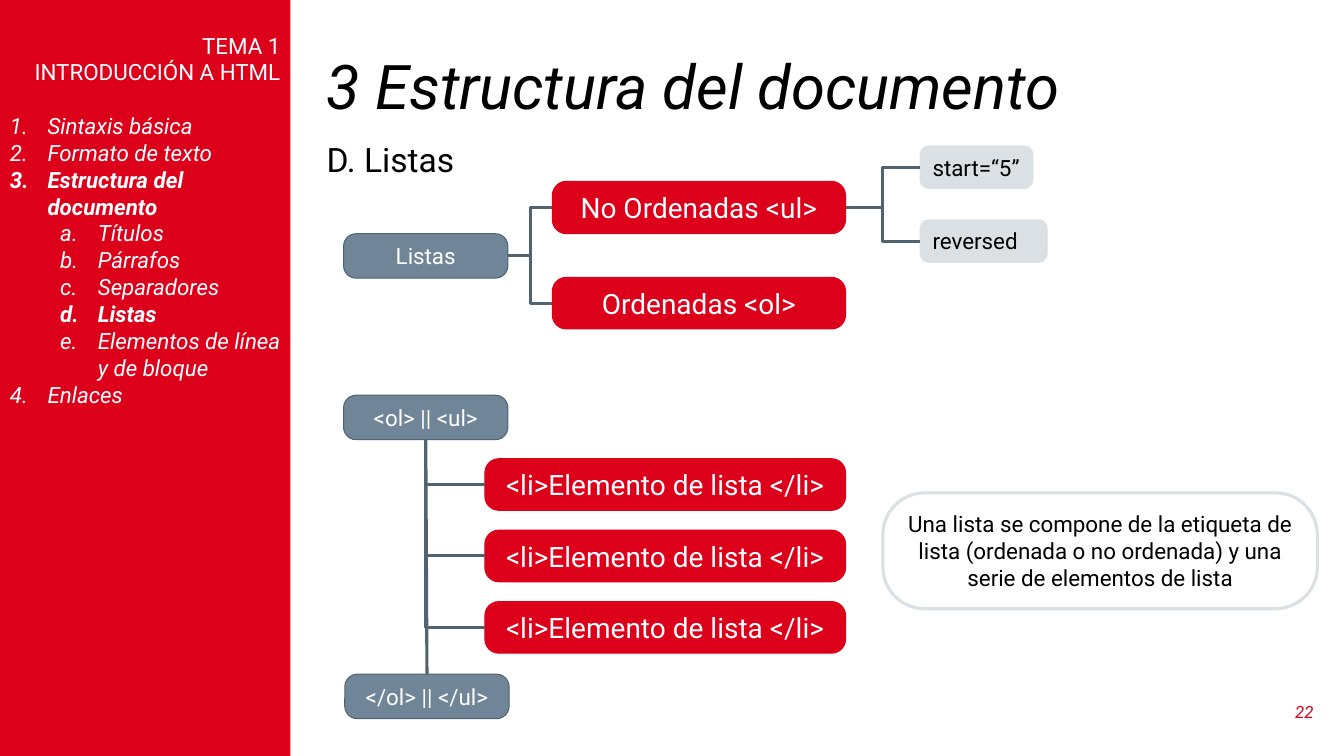
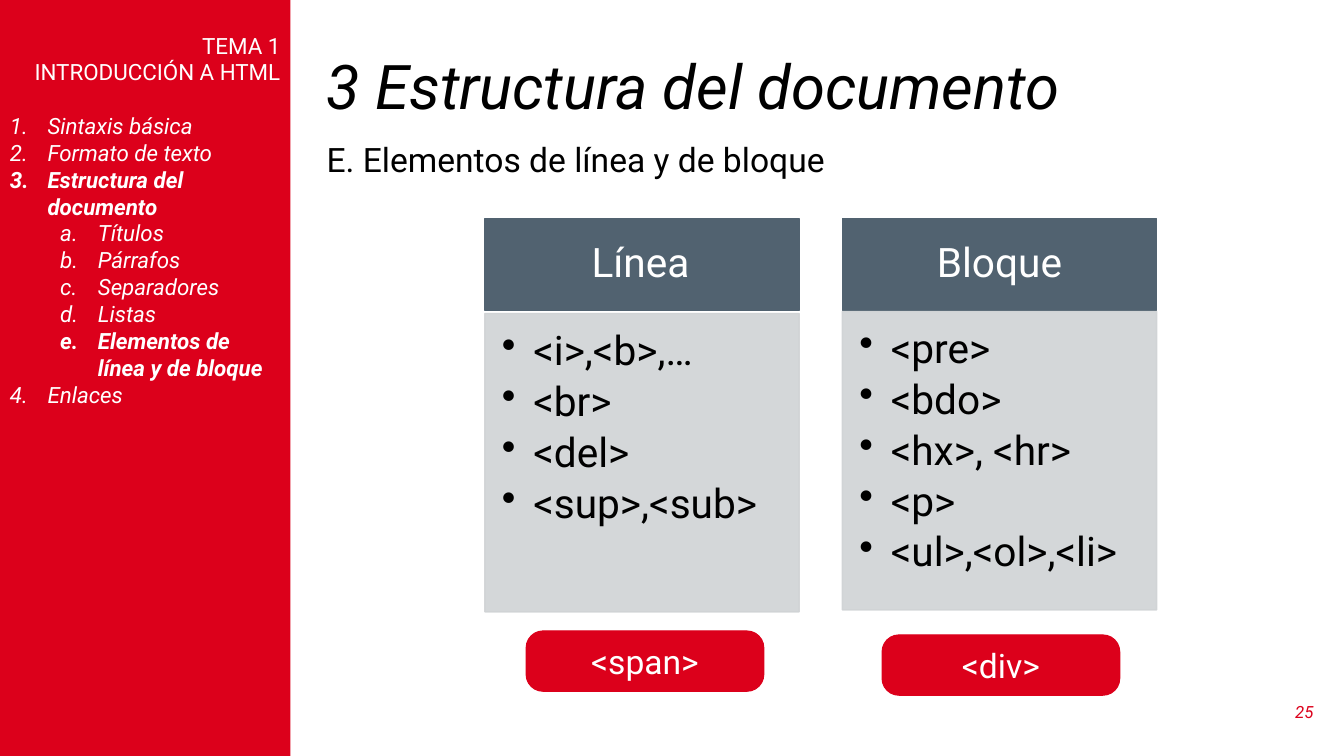
from dataclasses import dataclass

import lxml.etree
import pptx
import pptx.dml.color
import pptx.enum.shapes
import pptx.enum.text
import pptx.oxml.ns
import pptx.util

Cm = pptx.util.Cm
Pt = pptx.util.Pt
qn = pptx.oxml.ns.qn
Align = pptx.enum.text.PP_ALIGN
Anchor = pptx.enum.text.MSO_ANCHOR
Geometry = pptx.enum.shapes.MSO_SHAPE
Link = pptx.enum.shapes.MSO_CONNECTOR

FONT = "Roboto"
COLORS = {
    "red": "DC001B",
    "slate": "516270",
    "steel": "708698",
    "mist": "DAE0E4",
    "panel": "D0D3D5",
    "white": "FFFFFF",
    "black": "000000",
}
TOP, LEFT, BOTTOM, RIGHT = range(4)

HEADING = "3 Estructura del documento"
COURSE = ["TEMA 1", "INTRODUCCIÓN A HTML"]
# Outline level and wording of each section
SECTIONS = [
    (0, "Sintaxis básica"),
    (0, "Formato de texto"),
    (0, HEADING[2:]),
    (1, "Títulos"),
    (1, "Párrafos"),
    (1, "Separadores"),
    (1, "Listas"),
    (1, "Elementos de línea y de bloque"),
    (0, "Enlaces"),
]


@dataclass(frozen=True)
class Box:
    """Position and size in centimetres."""
    left: float
    top: float
    width: float
    height: float

    def lengths(self) -> tuple:
        return Cm(self.left), Cm(self.top), Cm(self.width), Cm(self.height)


@dataclass(frozen=True)
class PillStyle:
    fill: str | None
    line: str
    text: str
    size: float
    corner: float
    line_width: float = 0.75
    align: Align = Align.CENTER


@dataclass(frozen=True)
class Column:
    heading: str
    tags: list
    left: float
    body_top: float
    example: str
    example_box: Box


KEY = PillStyle("red", "red", "white", 20, 0.27)
EXAMPLE = PillStyle("red", "red", "white", 24, 0.28)
ROOT = PillStyle("steel", "slate", "white", 16, 0.28)
ATTRIBUTE = PillStyle("mist", "mist", "black", 16, 0.2, align=Align.LEFT)
NOTE = PillStyle(None, "mist", "black", 16, 0.36, line_width=2.25)


# Formatting helpers
def rgb(name: str) -> pptx.dml.color.RGBColor:
    return pptx.dml.color.RGBColor.from_string(COLORS[name])


def style_runs(paragraph, size: float, color: str, bold: bool = False,
               italic: bool = False) -> None:
    for run in paragraph.runs:
        run.font.name = FONT
        run.font.size = Pt(size)
        run.font.color.rgb = rgb(color)
        run.font.bold = bold
        run.font.italic = italic


def set_bullet(paragraph, tag: str, indent: float, hanging: float, **attributes) -> None:
    properties = paragraph._p.get_or_add_pPr()
    properties.set("marL", str(Cm(indent)))
    properties.set("indent", str(-Cm(hanging)))
    lxml.etree.SubElement(properties, qn(tag), **attributes)


def set_margins(frame, left: float, top: float, right: float, bottom: float) -> None:
    frame.margin_left, frame.margin_top = Cm(left), Cm(top)
    frame.margin_right, frame.margin_bottom = Cm(right), Cm(bottom)


def add_block(slide, geometry, box: Box, fill: str | None, line: str, line_width: float):
    block = slide.shapes.add_shape(geometry, *box.lengths())
    block.shadow.inherit = False
    if fill:
        block.fill.solid()
        block.fill.fore_color.rgb = rgb(fill)
    else:
        block.fill.background()
    block.line.color.rgb = rgb(line)
    block.line.width = Pt(line_width)
    return block


def add_label(slide, box: Box, text: str, size: float, color: str, align=Align.LEFT,
              anchor=Anchor.TOP, italic: bool = False) -> None:
    frame = slide.shapes.add_textbox(*box.lengths()).text_frame
    frame.word_wrap = True
    frame.vertical_anchor = anchor
    frame.text = text
    frame.paragraphs[0].alignment = align
    style_runs(frame.paragraphs[0], size, color, italic=italic)


def add_pill(slide, box: Box, text: str, style: PillStyle):
    pill = add_block(slide, Geometry.ROUNDED_RECTANGLE, box, style.fill, style.line,
                     style.line_width)
    pill.adjustments[0] = style.corner
    frame = pill.text_frame
    frame.text = text
    frame.vertical_anchor = Anchor.MIDDLE
    if style.align == Align.LEFT:
        frame.margin_right = 0
    frame.paragraphs[0].alignment = style.align
    style_runs(frame.paragraphs[0], style.size, style.text)
    return pill


def join(slide, start, start_side: int, end, end_side: int, kind=Link.ELBOW,
         one_bend: bool = False) -> None:
    connector = slide.shapes.add_connector(kind, 0, 0, 0, 0)
    connector.begin_connect(start, start_side)
    connector.end_connect(end, end_side)
    connector.line.color.rgb = rgb("slate")
    connector.line.width = Pt(2.25)
    properties = connector._element.spPr
    if one_bend:
        properties.find(qn("a:prstGeom")).set("prst", "bentConnector2")
    lxml.etree.SubElement(properties, qn("a:effectLst"))


# Shared slide parts
def add_sidebar(slide, current: str) -> None:
    band = add_block(slide, Geometry.RECTANGLE, Box(0, 0, 7.32, 19.05), "red", "red", 0.75)
    band.line.fill.background()
    frame = band.text_frame
    frame.vertical_anchor = Anchor.TOP
    set_margins(frame, 0.25, 0.8, 0.25, 0.13)
    frame.text = "\n".join(COURSE + [wording for _, wording in SECTIONS])
    course_lines = frame.paragraphs[:len(COURSE)]
    section_lines = frame.paragraphs[len(COURSE):]
    for paragraph in course_lines:
        paragraph.alignment = Align.RIGHT
        style_runs(paragraph, 16, "white")
    for paragraph, (level, wording) in zip(section_lines, SECTIONS):
        paragraph.alignment = Align.LEFT
        paragraph.level = level
        numbering = "alphaLcPeriod" if level else "arabicPeriod"
        set_bullet(paragraph, "a:buAutoNum", 0.95 + 1.27 * level, 0.95, type=numbering)
        style_runs(paragraph, 16, "white", wording in (HEADING[2:], current), True)
    section_lines[0].space_before = Pt(19)


def add_lesson_slide(deck, subtitle: str, current: str, number: str):
    slide = deck.slides.add_slide(deck.slide_layouts[5])
    title = slide.shapes.title
    title.left, title.top, title.width, title.height = Box(7.98, 1.27, 25.37, 1.98).lengths()
    frame = title.text_frame
    frame.text = HEADING
    frame.auto_size = pptx.enum.text.MSO_AUTO_SIZE.NONE
    frame.vertical_anchor = Anchor.MIDDLE
    frame.paragraphs[0].alignment = Align.LEFT
    frame.paragraphs[0].line_spacing = 0.9
    style_runs(frame.paragraphs[0], 44, "black", italic=True)
    add_sidebar(slide, current)
    add_label(slide, Box(32.05, 17.42, 1.3, 1.02), number, 12, "red", Align.RIGHT,
              Anchor.MIDDLE, italic=True)
    add_label(slide, Box(7.98, 3.38, 18.95, 1.27), subtitle, 24, "black")
    return slide


# Lists slide
def build_lists(deck) -> None:
    slide = add_lesson_slide(deck, "D. Listas", "Listas", "22")

    # Kinds of list and their attributes
    lists = add_pill(slide, Box(8.66, 5.89, 4.14, 1.12), "Listas", ROOT)
    unordered = add_pill(slide, Box(13.92, 4.57, 7.39, 1.32), "No Ordenadas <ul>", KEY)
    ordered = add_pill(slide, Box(13.92, 6.99, 7.39, 1.3), "Ordenadas <ol>", KEY)
    start = add_pill(slide, Box(23.19, 3.68, 2.84, 1.07), "start=“5”", ATTRIBUTE)
    backwards = add_pill(slide, Box(23.19, 5.54, 3.2, 1.07), "reversed", ATTRIBUTE)
    for parent, child in [(lists, unordered), (lists, ordered),
                          (unordered, start), (unordered, backwards)]:
        join(slide, parent, RIGHT, child, LEFT)

    # Opening tag, items and closing tag
    opening = add_pill(slide, Box(8.66, 9.96, 4.14, 1.12), "<ol> || <ul>", ROOT)
    closing = add_pill(slide, Box(8.69, 16.99, 4.14, 1.12), "</ol> || </ul>", ROOT)
    for row in range(3):
        item = add_pill(slide, Box(12.22, 11.56 + 1.8 * row, 9.09, 1.3),
                        "<li>Elemento de lista </li>", KEY)
        join(slide, item, LEFT, opening, BOTTOM, one_bend=True)
    join(slide, closing, TOP, opening, BOTTOM, kind=Link.STRAIGHT)

    add_pill(slide, Box(22.25, 12.42, 10.95, 2.92),
             "Una lista se compone de la etiqueta de lista (ordenada o no ordenada) "
             "y una serie de elementos de lista", NOTE)


# Inline and block slide
def add_column(slide, column: Column) -> None:
    header = add_block(slide, Geometry.RECTANGLE, Box(column.left, 5.51, 7.92, 2.31),
                       "slate", "slate", 1)
    frame = header.text_frame
    set_margins(frame, 0.58, 0.33, 0.58, 0.33)
    frame.vertical_anchor = Anchor.MIDDLE
    frame.text = column.heading
    frame.paragraphs[0].alignment = Align.CENTER
    frame.paragraphs[0].line_spacing = 0.9
    style_runs(frame.paragraphs[0], 29, "white")

    body = add_block(slide, Geometry.RECTANGLE, Box(column.left, column.body_top, 7.92, 7.52),
                     "panel", "panel", 1)
    for tint in body._element.spPr.iter(qn("a:srgbClr")):
        lxml.etree.SubElement(tint, qn("a:alpha"), val="90000")
    frame = body.text_frame
    set_margins(frame, 0.43, 0.43, 0.58, 0.64)
    frame.vertical_anchor = Anchor.TOP
    frame.text = "\n".join(column.tags)
    for paragraph in frame.paragraphs:
        paragraph.alignment = Align.LEFT
        paragraph.line_spacing = 0.9
        paragraph.space_after = Pt(5)
        set_bullet(paragraph, "a:buChar", 0.79, 0.79, char="•")
        style_runs(paragraph, 29, "black")

    add_pill(slide, column.example_box, column.example, EXAMPLE)


def build_line_and_block(deck) -> None:
    topic = "Elementos de línea y de bloque"
    slide = add_lesson_slide(deck, f"E. {topic}", topic, "25")
    columns = [
        Column("Línea\t", ["<i>,<b>,…", "<br>", "<del>", "<sup>,<sub>"], 12.22, 7.9,
               "<span>", Box(13.26, 15.9, 5.99, 1.52)),
        Column("Bloque", ["<pre>", "<bdo>", "<hx>, <hr>", "<p>", "<ul>,<ol>,<li>"], 21.23,
               7.85, "<div>", Box(22.23, 16, 5.99, 1.52)),
    ]
    for column in columns:
        add_column(slide, column)


def main() -> None:
    deck = pptx.Presentation()
    deck.slide_width, deck.slide_height = Cm(33.87), Cm(19.05)
    build_lists(deck)
    build_line_and_block(deck)
    deck.save("out.pptx")


if __name__ == "__main__":
    main()
